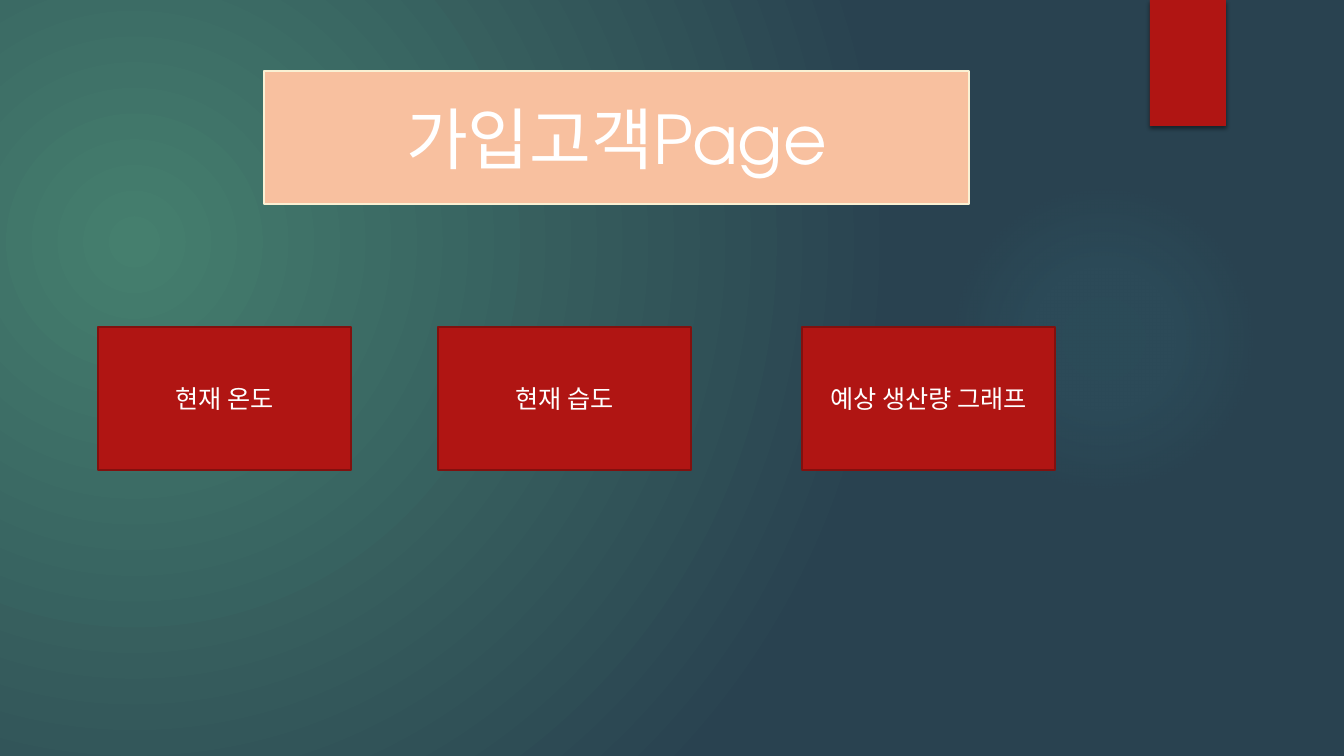
from pptx import Presentation
from pptx.dml.color import RGBColor
from pptx.enum.shapes import MSO_SHAPE as SHAPE
from pptx.enum.text import MSO_ANCHOR as ANCHOR, MSO_AUTO_SIZE as AUTO, PP_ALIGN as ALIGN
from pptx.oxml import parse_xml
from pptx.oxml.ns import nsdecls, qn
from pptx.util import Pt

PX = 12192000 / 1344
FONT = "TeX Gyre Adventor"
WHITE = RGBColor(0xFF, 0xFF, 0xFF)
RED = RGBColor(0xB0, 0x15, 0x13)
DARK_RED = RGBColor(0x82, 0x10, 0x0E)
PEACH = RGBColor(0xF8, 0xC0, 0x9F)
CREAM = RGBColor(0xFA, 0xF1, 0xD4)
GREEN = RGBColor(0x45, 0x7F, 0x6E)
NAVY = RGBColor(0x29, 0x42, 0x50)
TEAL = RGBColor(0x50, 0xB9, 0xC1)


def radial(fill, props, stops, focus):
    fill.gradient()
    gs = "".join(
        f'<a:gs pos="{pos * 1000}"><a:srgbClr val="{color}">'
        f'<a:alpha val="{alpha * 1000}"/></a:srgbClr></a:gs>'
        for pos, color, alpha in stops)
    rect = " ".join(f'{side}="{v * 1000}"' for side, v in zip("ltrb", focus))
    props.replace(props.find(qn("a:gradFill")), parse_xml(
        f'<a:gradFill {nsdecls("a")} rotWithShape="1"><a:gsLst>{gs}</a:gsLst>'
        f'<a:path path="circle"><a:fillToRect {rect}/></a:path></a:gradFill>'))


def panel(sp, box, text, size, fill, line):
    sp.left, sp.top, sp.width, sp.height = (round(v * PX) for v in box)
    sp.fill.solid()
    sp.fill.fore_color.rgb = fill
    sp.line.color.rgb = line
    sp.line.width = Pt(1.5)
    tf = sp.text_frame
    tf.text = text
    tf.word_wrap = True
    tf.auto_size = AUTO.NONE
    tf.vertical_anchor = ANCHOR.MIDDLE
    p = tf.paragraphs[0]
    p.alignment = ALIGN.CENTER
    p.font.name = FONT
    p.font.size = Pt(size)
    p.font.color.rgb = WHITE


prs = Presentation()
prs.slide_width = round(1344 * PX)
prs.slide_height = round(756 * PX)
s = prs.slides.add_slide(prs.slide_layouts[5])

bg_fill = s.background.fill
bg_fill.solid()
radial(bg_fill, s._element.find(".//" + qn("p:bgPr")),
       [(0, GREEN, 100), (100, NAVY, 100)], (45, 65, 125, 100))

glow = s.shapes.add_shape(SHAPE.OVAL, *(round(v * PX) for v in (949, 184, 310, 310)))
glow.shadow.inherit = False
glow.line.fill.background()
radial(glow.fill, glow._element.spPr,
       [(0, TEAL, 7), (36, TEAL, 6), (69, TEAL, 0)], (50, 50, 50, 50))

tab = s.shapes.add_shape(SHAPE.RECTANGLE, *(round(v * PX) for v in (1150, 0, 76, 126)))
tab.fill.solid()
tab.fill.fore_color.rgb = RED
tab.line.fill.background()
tab.shadow.inherit = False
tab._element.spPr.find(qn("a:effectLst")).append(parse_xml(
    f'<a:outerShdw {nsdecls("a")} blurRad="{Pt(3)}" dist="{Pt(2)}" dir="5400000" '
    'rotWithShape="0"><a:srgbClr val="000000"><a:alpha val="45000"/></a:srgbClr></a:outerShdw>'))

panel(s.shapes.title, (264, 71, 705, 133), "가입고객Page", 48, PEACH, CREAM)

for x, label in [(98, "현재 온도"), (438, "현재 습도"), (802, "예상 생산량 그래프")]:
    sp = s.shapes.add_shape(SHAPE.RECTANGLE, 0, 0, 0, 0)
    sp.shadow.inherit = False
    panel(sp, (x, 327, 253, 143), label, 18, RED, DARK_RED)

prs.save("out.pptx")
